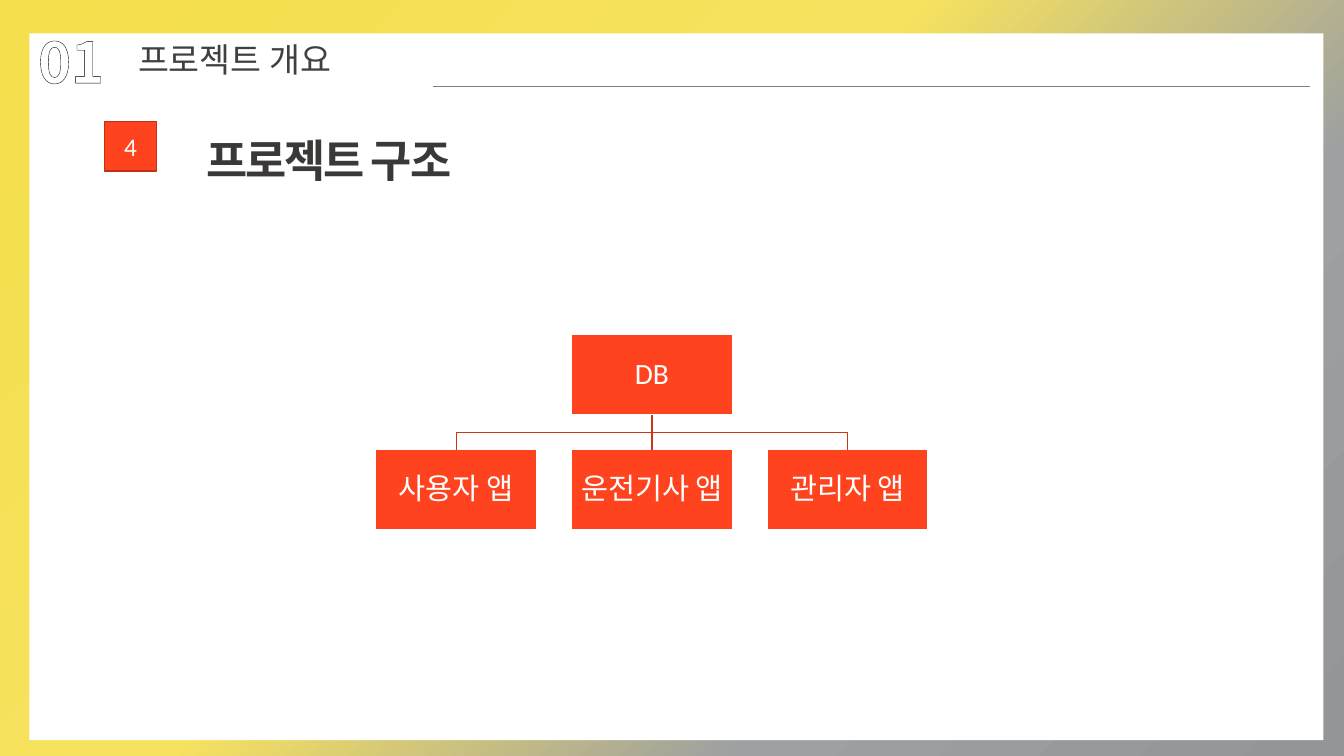
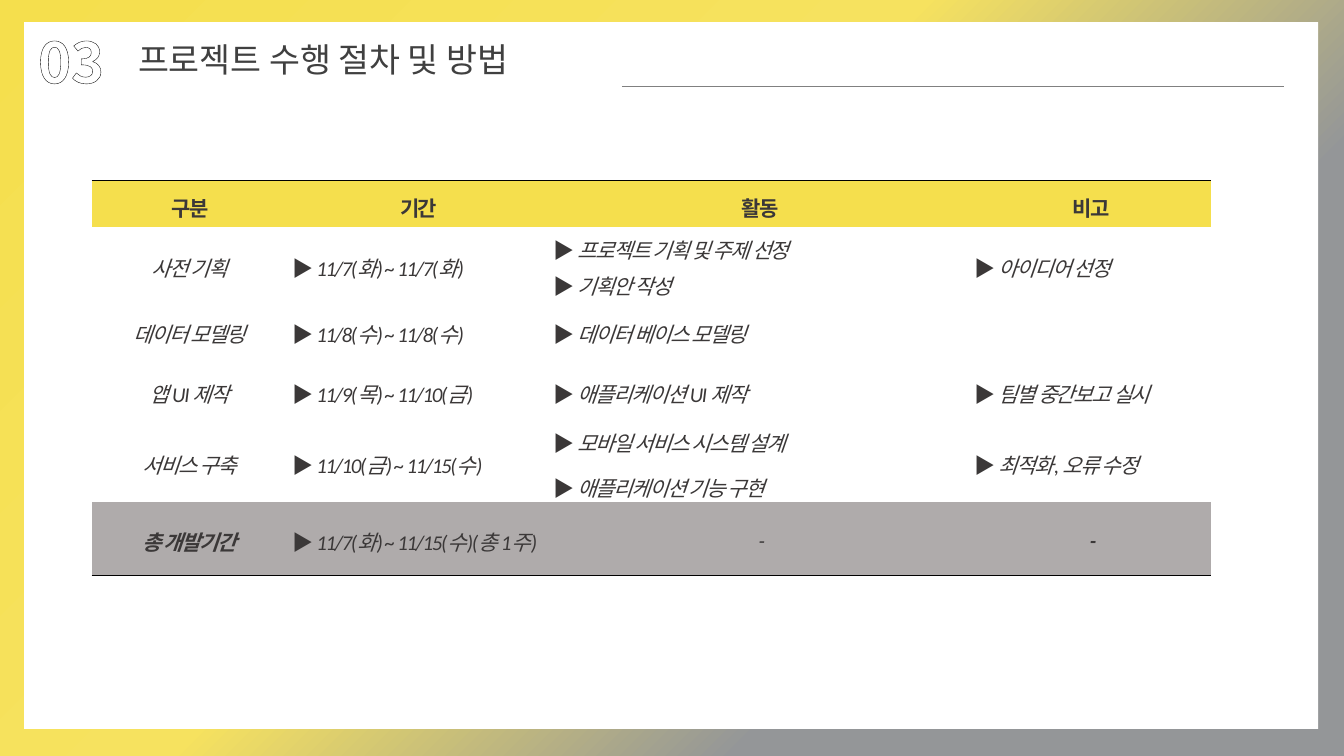
from lxml import etree
from pptx import Presentation
from pptx.dml.color import RGBColor
from pptx.enum.dml import MSO_PATTERN
from pptx.enum.shapes import MSO_CONNECTOR, MSO_SHAPE
from pptx.enum.text import MSO_ANCHOR, PP_ALIGN
from pptx.oxml.ns import qn
from pptx.util import Cm, Pt

KOREAN = "Noto Sans CJK KR"
LATIN = "Calibri"
DARK = "3B3838"
WHITE = "FFFFFF"
YELLOW = "F5DF4D"
GRAY = "939597"
ORANGE = "FE431E"
BLACK = "000000"
NO_STYLE = "{2D5ABB26-0587-4C30-8999-92F81FD0307C}"

NUMBER = {"size": Pt(40), "bold": True, "name": KOREAN}
TITLE = {"size": Pt(24), "name": KOREAN}
SECTION = {"size": Pt(32), "bold": True, "name": KOREAN}
BADGE = {"size": Pt(18), "name": LATIN}
NODE = {"size": Pt(21), "name": LATIN}
HEADER = {"size": Pt(15), "bold": True, "name": LATIN}
BODY = {"size": Pt(15), "bold": False, "italic": True, "name": LATIN}
TOTAL = {**BODY, "bold": True}
MARK = {"size": Pt(15), "bold": True, "italic": False, "name": KOREAN}
CENTERED = {"alignment": PP_ALIGN.CENTER}
TABLE_CENTERED = {**CENTERED, "line_spacing": 1.2}
TABLE_LEFT = {"alignment": PP_ALIGN.LEFT, "line_spacing": 1.2}
NARROW = {"margin_left": Cm(0.1), "margin_top": 0, "margin_right": 0, "margin_bottom": 0}

HEADINGS = ["구분", "기간", "활동", "비고"]
SCHEDULE = [
    ("사전 기획", "11/7(화) ~ 11/7(화)", ["프로젝트 기획 및 주제 선정", "기획안 작성"], "아이디어 선정"),
    ("데이터 모델링", "11/8(수) ~ 11/8(수)", ["데이터 베이스 모델링"], ""),
    ("앱 UI 제작", "11/9(목) ~ 11/10(금)", ["애플리케이션 UI 제작"], "팀별 중간보고 실시"),
    ("서비스 구축", "11/10(금) ~ 11/15(수)",
     ["모바일 서비스 시스템 설계", "애플리케이션 기능 구현"], "최적화, 오류 수정"),
    ("총 개발기간", "11/7(화) ~ 11/15(수)(총 1주)", ["-"], "-"),
]
ARIAL_TEXTS = {"데이터 베이스 모델링", "팀별 중간보고 실시",
               "모바일 서비스 시스템 설계", "애플리케이션 기능 구현"}


def color(value):
    return RGBColor.from_string(value)


def set_attributes(target, formats):
    for name, value in formats.items():
        setattr(target, name, value)


def add_solid(parent, value):
    fill = etree.SubElement(parent, qn("a:solidFill"))
    return etree.SubElement(fill, qn("a:srgbClr"), val=value)


def make_line(tag, value, points):
    line = etree.Element(qn(tag), w=str(int(Pt(points))))
    add_solid(line, value)
    return line


def set_line(shape, value, points=1):
    shape.line.color.rgb = color(value)
    shape.line.width = Pt(points)


def add_run(paragraph, text, formats, text_color, spacing=None, outline=None):
    run = paragraph.add_run()
    run.text = text
    set_attributes(run.font, formats)
    run.font.color.rgb = color(text_color)
    properties = run._r.get_or_add_rPr()
    etree.SubElement(properties, qn("a:ea"), typeface=KOREAN)
    if spacing:
        properties.set("spc", str(spacing))
    if outline:
        properties.insert(0, make_line("a:ln", *outline))
    return run


def add_text(slide, box, text, formats, text_color, wrap=True, **extra):
    shape = slide.shapes.add_textbox(*map(Cm, box))
    shape.text_frame.word_wrap = wrap
    return add_run(shape.text_frame.paragraphs[0], text, formats, text_color, **extra)


def add_rectangle(slide, box, fill, line=None):
    shape = slide.shapes.add_shape(MSO_SHAPE.RECTANGLE, *map(Cm, box))
    shape.shadow.inherit = False
    shape.fill.solid()
    shape.fill.fore_color.rgb = color(fill)
    if line:
        set_line(shape, line)
    else:
        shape.line.fill.background()
    return shape


def add_label(shape, text, formats, **paragraph_formats):
    shape.text_frame.vertical_anchor = MSO_ANCHOR.MIDDLE
    paragraph = shape.text_frame.paragraphs[0]
    set_attributes(paragraph, {**CENTERED, **paragraph_formats})
    add_run(paragraph, text, formats, WHITE)


def add_straight(slide, start, end, value):
    line = slide.shapes.add_connector(MSO_CONNECTOR.STRAIGHT, *map(Cm, (*start, *end)))
    set_line(line, value)
    etree.SubElement(line._element.spPr, qn("a:effectLst"))
    return line


def set_background(slide, third_color):
    fill = slide.background.fill
    fill.gradient()
    fill.gradient_angle = 315
    stops = next(slide.element.iter(qn("a:gsLst")))
    for stop in list(stops):
        stops.remove(stop)
    for position, value, alpha in [(0, YELLOW, 100), (44, "F6E25F", 70),
                                   (71, third_color, 70), (100, GRAY, 100)]:
        stop = etree.SubElement(stops, qn("a:gs"), pos=str(position * 1000))
        shade = etree.SubElement(stop, qn("a:srgbClr"), val=value)
        if alpha < 100:
            etree.SubElement(shade, qn("a:alpha"), val=str(alpha * 1000))


def add_page(presentation, third_color, sheet_corner):
    slide = presentation.slides.add_slide(presentation.slide_layouts[6])
    set_background(slide, third_color)
    add_rectangle(slide, (*sheet_corner, 32.61, 17.81), WHITE)
    return slide


def add_page_title(slide, number, title, title_width, rule_start, rule_end):
    run = add_text(slide, (0.71, 0.56, 3.23, 1.96), number, NUMBER, DARK, outline=(BLACK, 1.25))
    fill = run.font.fill
    fill.patterned()
    fill.pattern = MSO_PATTERN.DARK_UPWARD_DIAGONAL
    fill.fore_color.rgb = color(DARK)
    fill.back_color.rgb = color(WHITE)
    add_text(slide, (3.23, 0.86, title_width, 1.27), title, TITLE, "404040", wrap=False)
    add_straight(slide, (rule_start, 2.18), (rule_end, 2.18), "808080")


def add_section(slide, left, top, number, title):
    badge = add_rectangle(slide, (left, top, 1.3, 1.24), ORANGE, "BC3216")
    add_label(badge, number, BADGE)
    add_text(slide, (left + 2.31, top + 0.16, 14, 1.63), title, SECTION, DARK, spacing=-150)


def add_node(slide, left, top, width, height, text):
    node = add_rectangle(slide, (left, top, width, height), ORANGE, WHITE)
    margins = ("margin_left", "margin_top", "margin_right", "margin_bottom")
    set_attributes(node.text_frame, dict.fromkeys(margins, Cm(0.03)))
    add_label(node, text, NODE, line_spacing=0.9)
    return node


def add_tree(slide, box, root_text, child_texts):
    left, top, width, height = box
    node_width, node_height = 4.06, 2.03
    pitch = (width - node_width) / (len(child_texts) - 1)
    center = left + width / 2
    root_bottom = top + node_height
    child_top = top + height - node_height
    middle = (root_bottom + child_top) / 2
    root = add_node(slide, center - node_width / 2, top, node_width, node_height, root_text)
    for index, text in enumerate(child_texts):
        child_left = left + index * pitch
        child = add_node(slide, child_left, child_top, node_width, node_height, text)
        child_center = child_left + node_width / 2
        if abs(child_center - center) < 0.01:
            line = add_straight(slide, (center, root_bottom), (center, child_top), "CB3618")
            line.begin_connect(root, 2)
            line.end_connect(child, 0)
            continue
        builder = slide.shapes.build_freeform(Cm(center), Cm(root_bottom))
        corners = [(center, middle), (child_center, middle), (child_center, child_top)]
        builder.add_line_segments([(Cm(x), Cm(y)) for x, y in corners], close=False)
        branch = builder.convert_to_shape()
        branch.shadow.inherit = False
        branch.fill.background()
        set_line(branch, "CB3618")


def fill_cell(cell, texts, formats, fill, marked=False, centered=True):
    cell.fill.solid()
    cell.fill.fore_color.rgb = color(fill)
    cell.vertical_anchor = MSO_ANCHOR.MIDDLE
    frame = cell.text_frame
    for index, text in enumerate(texts):
        paragraph = frame.add_paragraph() if index else frame.paragraphs[0]
        set_attributes(paragraph, TABLE_CENTERED if centered else TABLE_LEFT)
        if marked:
            add_run(paragraph, "▶ ", MARK, DARK, spacing=-100, outline=(GRAY, 1))
        name = "Arial" if text in ARIAL_TEXTS else LATIN
        add_run(paragraph, text, {**formats, "name": name}, DARK, spacing=-100)
        if index and text in ARIAL_TEXTS:
            paragraph.space_before = Pt(6)


def add_border(cell, tag):
    cell._tc.get_or_add_tcPr().insert(0, make_line(tag, BLACK, 0.75))


def add_schedule(slide, left, top):
    widths = [4.95, 6.58, 10.62, 6.07]
    heights = [1.14, 1.86, 1.5, 1.52, 2.04, 1.84]
    frame = slide.shapes.add_table(len(heights), len(widths), Cm(left), Cm(top),
                                   Cm(sum(widths)), Cm(sum(heights)))
    table = frame.table
    set_attributes(table, {"first_row": False, "horz_banding": False})
    next(table._tbl.iter(qn("a:tableStyleId"))).text = NO_STYLE
    for column, width in zip(table.columns, widths):
        column.width = Cm(width)
    for row, height in zip(table.rows, heights):
        row.height = Cm(height)
    for index, heading in enumerate(HEADINGS):
        cell = table.cell(0, index)
        fill_cell(cell, [heading], HEADER, YELLOW)
        add_border(cell, "a:lnT")
    for row, (name, period, activities, note) in enumerate(SCHEDULE, 1):
        is_total = row == len(SCHEDULE)
        fill = "AFABAB" if is_total else WHITE
        fill_cell(table.cell(row, 0), [name], TOTAL if is_total else BODY, fill)
        for column, texts in enumerate([[period], activities, [note] if note else []], 1):
            cell = table.cell(row, column)
            set_attributes(cell, NARROW)
            is_dash = texts == ["-"]
            formats = TOTAL if is_dash and column == 3 else BODY
            fill_cell(cell, texts, formats, fill, marked=not is_dash, centered=is_dash)
        if is_total:
            for column in range(len(widths)):
                add_border(table.cell(row, column), "a:lnB")


def build_structure_slide(presentation):
    slide = add_page(presentation, "9EA0A1", (0.74, 0.84))
    add_page_title(slide, "01", "프로젝트 개요", 6.07, 10.92, 33.02)
    add_section(slide, 2.64, 3.07, "4", "프로젝트 구조")
    add_tree(slide, (9.47, 8.43, 13.92, 4.93), "DB", ["사용자 앱", "운전기사 앱", "관리자 앱"])


def build_schedule_slide(presentation):
    slide = add_page(presentation, "949698", (0.61, 0.56))
    add_schedule(slide, 2.31, 4.55)
    add_page_title(slide, "03", "프로젝트 수행 절차 및 방법", 11.63, 15.67, 32.36)


def main():
    presentation = Presentation()
    set_attributes(presentation, {"slide_width": Cm(33.87), "slide_height": Cm(19.05)})
    build_structure_slide(presentation)
    build_schedule_slide(presentation)
    presentation.save("out.pptx")


if __name__ == "__main__":
    main()
